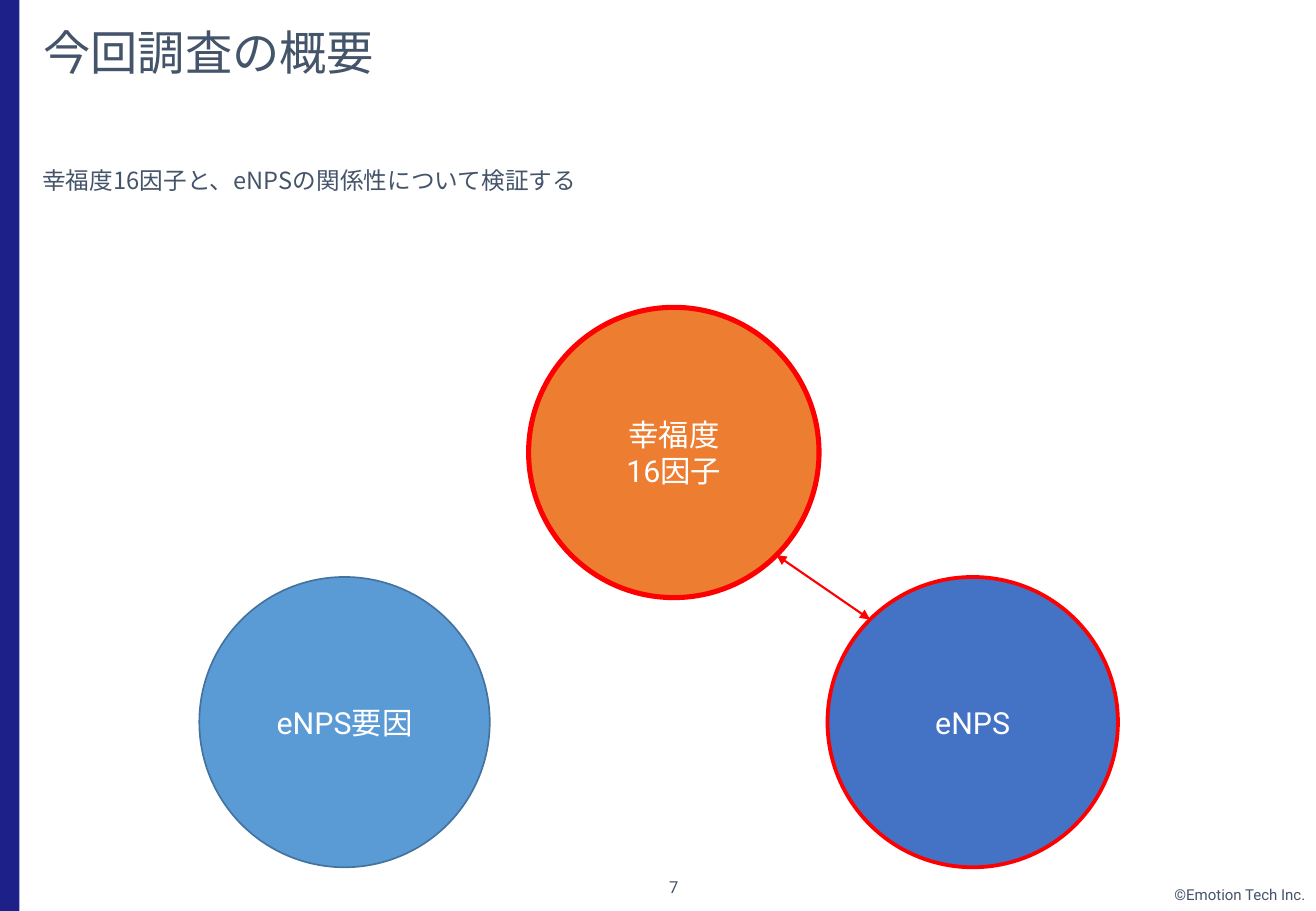
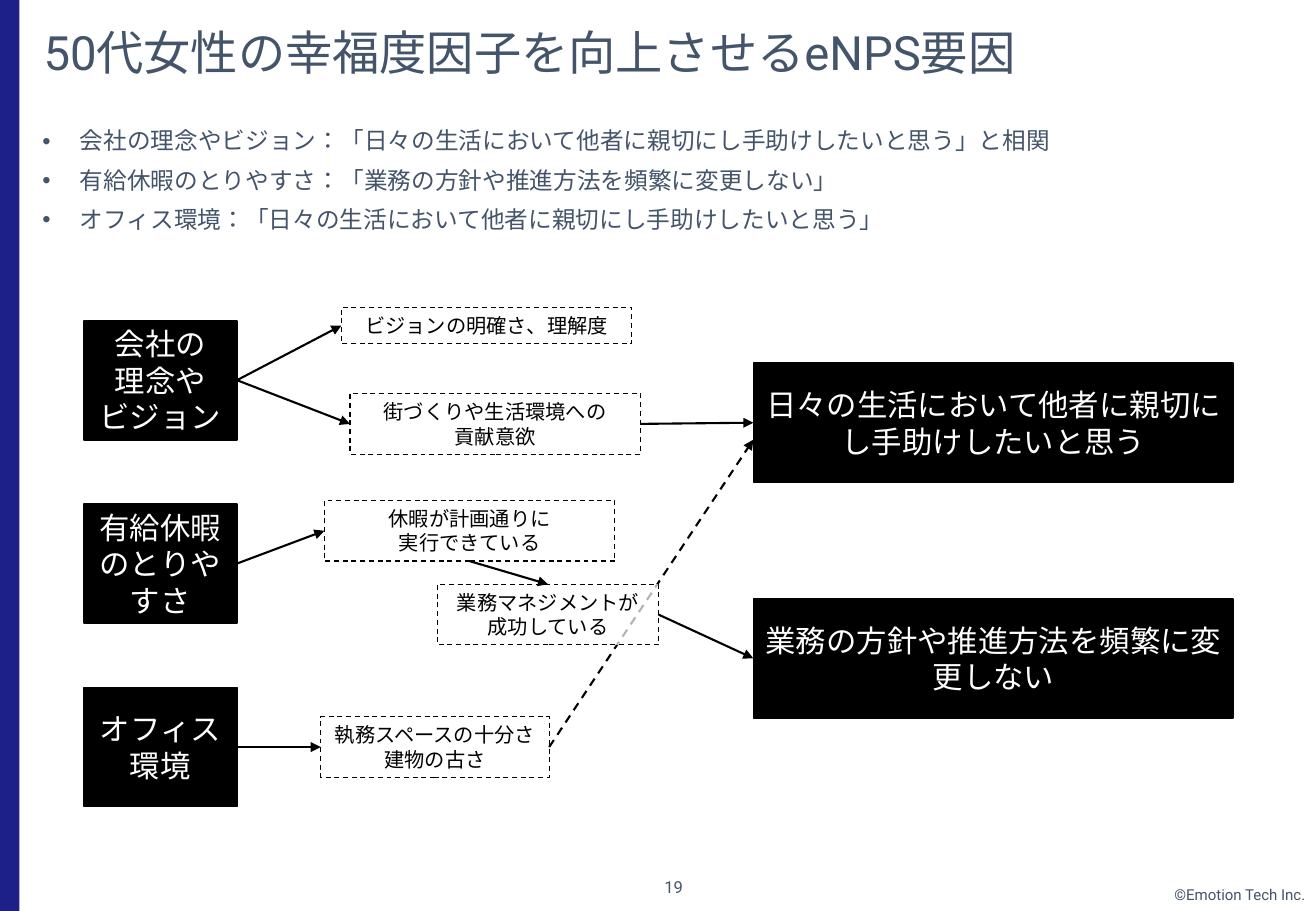
import math

from lxml import etree
from pptx import Presentation
from pptx.dml.color import RGBColor
from pptx.enum.dml import MSO_LINE
from pptx.enum.lang import MSO_LANGUAGE_ID
from pptx.enum.shapes import MSO_CONNECTOR, MSO_SHAPE
from pptx.enum.text import MSO_ANCHOR, PP_ALIGN
from pptx.oxml.ns import qn
from pptx.util import Inches, Pt

RECT, OVAL = MSO_SHAPE.RECTANGLE, MSO_SHAPE.OVAL
STRAIGHT = MSO_CONNECTOR.STRAIGHT
LEFT, CENTER, RIGHT = PP_ALIGN.LEFT, PP_ALIGN.CENTER, PP_ALIGN.RIGHT
TOP, MIDDLE = MSO_ANCHOR.TOP, MSO_ANCHOR.MIDDLE
DASH = MSO_LINE.DASH
JAPANESE = MSO_LANGUAGE_ID.JAPANESE
SITE_TOP, SITE_LEFT, SITE_BOTTOM, SITE_RIGHT = range(4)

LATIN, CJK = "Roboto", "Noto Sans CJK JP"
COLORS = {
    "band": "1D2088",
    "text": "44546A",
    "white": "FFFFFF",
    "black": "000000",
    "red": "FF0000",
    "orange": "ED7D31",
    "sky": "5B9BD5",
    "sky_edge": "43739E",
    "blue": "4472C4",
}
WIDTH, HEIGHT = 10.83, 7.5
BODY_BOX = (0.25, 0.86, 10.48, 1.27)


def rgb(name):
    return RGBColor.from_string(COLORS[name])


def add_xml(parent, tag, **attrs):
    return etree.SubElement(parent, qn(tag), attrs)


def add_bullet(p):
    pPr = p._p.get_or_add_pPr()
    pPr.set("marL", str(Inches(0.31)))
    pPr.set("indent", str(-Inches(0.31)))
    add_xml(pPr, "a:buFont", typeface="Arial")
    add_xml(pPr, "a:buChar", char="•")


def write(shape, lines, size, color="text", align=CENTER, anchor=MIDDLE, font=LATIN,
          wrap=True, inset=0.1, spacing=None, before=0, bullets=False):
    """Fill a shape with one paragraph per line."""
    tf = shape.text_frame
    tf.word_wrap = wrap
    tf.vertical_anchor = anchor
    tf.margin_left = tf.margin_right = Inches(inset)
    tf.margin_top = tf.margin_bottom = Inches(0.05)
    for i, line in enumerate(lines):
        p = tf.paragraphs[0] if i == 0 else tf.add_paragraph()
        p.alignment = align
        if spacing:
            p.line_spacing = spacing
        if i and before:
            p.space_before = Pt(before)
        if bullets:
            add_bullet(p)
        r = p.add_run()
        r.text = line
        r.font.size = Pt(size)
        r.font.name = font
        r.font.color.rgb = rgb(color)
        r.font.language_id = JAPANESE
        add_xml(r._r.get_or_add_rPr(), "a:ea", typeface=CJK)


def add_text(s, box, lines, size, **style):
    write(s.shapes.add_textbox(*map(Inches, box)), lines, size, **style)


def add_box(s, kind, box, fill, edge=None, weight=1):
    sp = s.shapes.add_shape(kind, *map(Inches, box))
    sp.shadow.inherit = False
    sp.fill.solid()
    sp.fill.fore_color.rgb = rgb(fill)
    if edge:
        sp.line.color.rgb = rgb(edge)
        sp.line.width = Pt(weight)
    else:
        sp.line.fill.background()
    return sp


def add_arrow(s, start=(0, 0), end=(0, 0), color="black", both=False, dashed=False):
    c = s.shapes.add_connector(STRAIGHT, *map(Inches, start + end))
    c.line.color.rgb = rgb(color)
    c.line.width = Pt(1.25)
    if dashed:
        c.line.dash_style = DASH
    ln = c.line._get_or_add_ln()
    if both:
        add_xml(ln, "a:headEnd", type="triangle")
    add_xml(ln, "a:tailEnd", type="triangle")
    add_xml(c._element.spPr, "a:effectLst")
    return c


def link(s, source, target, source_site=SITE_RIGHT, target_site=SITE_LEFT):
    c = add_arrow(s)
    c.begin_connect(source, source_site)
    c.end_connect(target, target_site)


def new_slide(prs, title, number):
    """Add a slide with the side band, title, page number and copyright line."""
    s = prs.slides.add_slide(prs.slide_layouts[6])
    add_box(s, RECT, (0, 0, 0.16, HEIGHT), "band")
    add_text(s, (9.55, 7.24, 1.29, 0.25), ["©Emotion Tech Inc."], 8.9,
             align=RIGHT, anchor=TOP, wrap=False)
    add_text(s, (4.63, 7.1, 1.83, 0.4), [number], 9.8)
    add_text(s, (0.26, 0.05, 9.88, 0.81), [title], 28, align=LEFT, spacing=0.9)
    return s


def add_body(s, lines, bullets=False):
    add_text(s, BODY_BOX, lines, 14, align=LEFT, font=CJK, spacing=0.9, before=8.1,
             bullets=bullets)


def relation_diagram(s, left, top):
    """Three circles, with the tested relation marked in red."""
    size = 2.39
    circles = [
        (2.71, 0, ["幸福度", "16因子"], "orange", "red", 3),
        (0, 2.22, ["eNPS要因"], "sky", "sky_edge", 1),
        (5.17, 2.22, ["eNPS"], "blue", "red", 2.25),
    ]
    centers = []
    for dx, dy, lines, fill, edge, weight in circles:
        x, y = left + dx, top + dy
        write(add_box(s, OVAL, (x, y, size, size), fill, edge, weight), lines, 18, "white")
        centers.append((x + size / 2, y + size / 2))
    (x1, y1), _, (x2, y2) = centers
    reach = size / 2 * math.sqrt(0.5)
    add_arrow(s, (x1 + reach, y1 + reach), (x2 - reach, y2 - reach), "red", both=True)


def add_node(s, box, lines):
    sp = add_box(s, RECT, box, "black", "black")
    write(sp, lines, 18, "white", inset=0.08)
    return sp


def add_detail(s, box, lines):
    """A dashed box with a 70% opaque white fill."""
    sp = add_box(s, RECT, box, "white", "black", 0.75)
    sp.line.dash_style = DASH
    add_xml(sp._element.spPr.find(qn("a:solidFill"))[0], "a:alpha", val="70000")
    write(sp, lines, 12, "black", wrap=False)
    return sp


def factor_diagram(s, left, top):
    """Factors on the left, details in the middle, outcomes on the right."""
    def at(dx, dy, w, h):
        return left + dx, top + dy, w, h

    factors = [["会社の", "理念や", "ビジョン"], ["有給休暇のとりやすさ"], ["オフィス環境"]]
    vision, leave, office = [
        add_node(s, at(0, 0.11 + 1.51 * i, 1.26, 0.98), lines)
        for i, lines in enumerate(factors)]
    outcomes = ["日々の生活において他者に親切にし手助けしたいと思う",
                "業務の方針や推進方法を頻繁に変更しない"]
    kindness, stability = [
        add_node(s, at(5.51, 0.46 + 1.94 * i, 3.95, 0.98), [line])
        for i, line in enumerate(outcomes)]

    clarity = add_detail(s, at(2.12, 0, 2.39, 0.3), ["ビジョンの明確さ、理解度"])
    town = add_detail(s, at(2.19, 0.71, 2.39, 0.5), ["街づくりや生活環境への", "貢献意欲"])
    planned = add_detail(s, at(1.98, 1.59, 2.39, 0.5), ["休暇が計画通りに", "実行できている"])
    space = add_detail(s, at(1.95, 3.37, 1.88, 0.5), ["執務スペースの十分さ", "建物の古さ"])
    add_arrow(s, (left + 3.83, top + 3.62), (left + 5.51, top + 1.09), dashed=True)
    managed = add_detail(s, at(2.91, 2.28, 1.82, 0.5), ["業務マネジメントが", "成功している"])

    for source, target in [(vision, clarity), (vision, town), (leave, planned),
                           (office, space), (town, kindness), (managed, stability)]:
        link(s, source, target)
    link(s, planned, managed, SITE_BOTTOM, SITE_TOP)


def main():
    prs = Presentation()
    prs.slide_width, prs.slide_height = Inches(WIDTH), Inches(HEIGHT)

    s = new_slide(prs, "今回調査の概要", "7")
    add_body(s, ["幸福度16因子と、eNPSの関係性について検証する"])
    relation_diagram(s, 1.64, 2.53)

    s = new_slide(prs, "50代女性の幸福度因子を向上させるeNPS要因", "19")
    add_body(s, [
        "会社の理念やビジョン：「日々の生活において他者に親切にし手助けしたいと思う」と相関",
        "有給休暇のとりやすさ：「業務の方針や推進方法を頻繁に変更しない」",
        "オフィス環境：「日々の生活において他者に親切にし手助けしたいと思う」",
    ], bullets=True)
    factor_diagram(s, 0.69, 2.53)

    prs.save("out.pptx")


if __name__ == "__main__":
    main()
